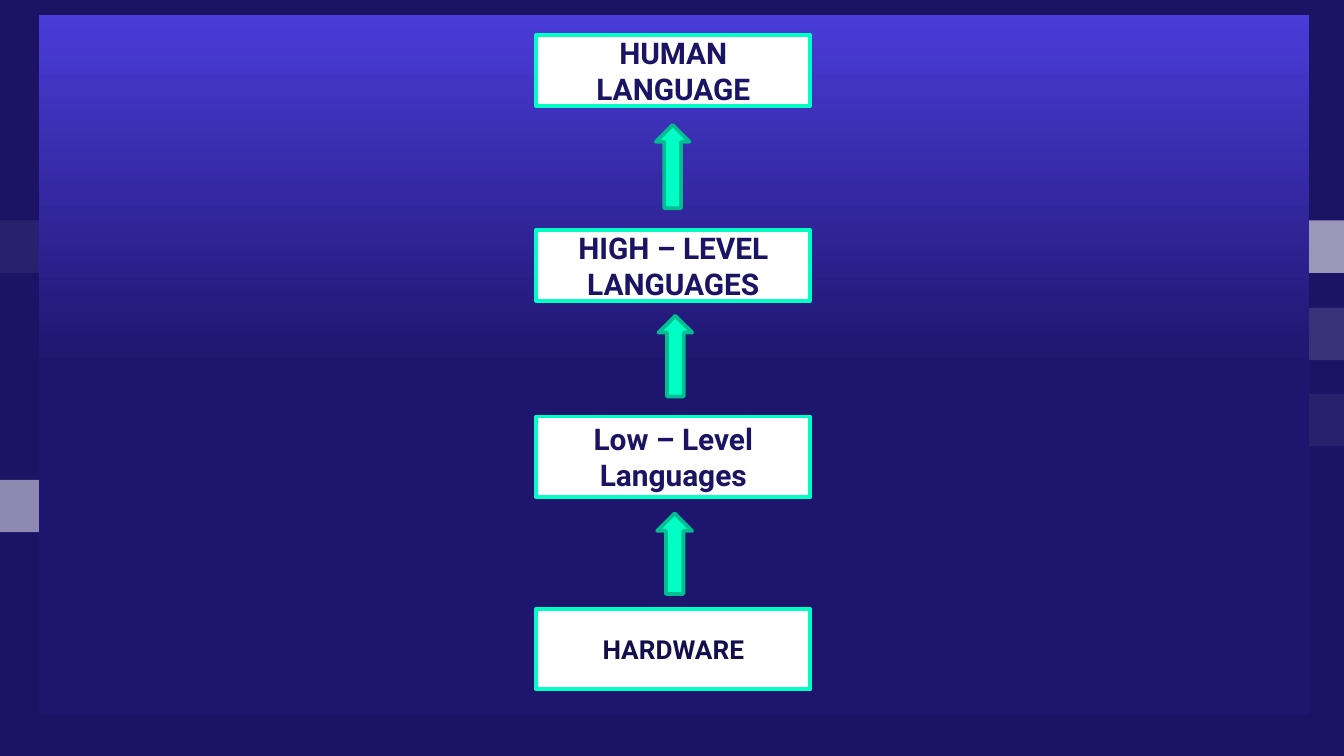
from lxml.etree import SubElement
from pptx import Presentation
from pptx.dml.color import RGBColor
from pptx.enum.shapes import MSO_SHAPE
from pptx.enum.text import MSO_ANCHOR, PP_ALIGN
from pptx.oxml.ns import qn
from pptx.util import Inches, Pt

NAVY = RGBColor(0x1B, 0x14, 0x64)
INK = RGBColor(0x14, 0x0F, 0x4B)
DEEP = RGBColor(0x1E, 0x16, 0x6E)
VIOLET = RGBColor(0x4A, 0x3C, 0xD8)
MINT = RGBColor(0x00, 0xFF, 0xC5)
GREEN = RGBColor(0x00, 0xBD, 0x92)
WHITE = RGBColor(0xFF, 0xFF, 0xFF)

W = 10
H = W * 9 / 16
PANEL = (0.29, 0.11, 9.45, 5.2)
BOX_X, BOX_W = 3.99, 2.04
BAR_H = 0.39

BARS = [
    {"box": (8.07, 2.29, 1.93, BAR_H), "opacity": 13},
    {"box": (7.54, 2.93, 2.46, BAR_H), "opacity": 6},
    {"box": (8.86, 1.64, 1.14, BAR_H), "opacity": 56},
    {"box": (0, 3.57, 1.14, BAR_H), "opacity": 50},
    {"box": (0, 1.64, 1.21, BAR_H), "opacity": 6},
]
LEVELS = [
    ("HARDWARE", 4.53, 0.6, 14, INK),
    ("Low – Level Languages", 3.1, 0.6, 16, NAVY),
    ("HIGH – LEVEL LANGUAGES", 1.71, 0.53, 16, NAVY),
    ("HUMAN LANGUAGE", 0.26, 0.53, 16, NAVY),
]
ARROWS = [(4.89, 3.82, 0.26, 0.6), (4.9, 2.35, 0.25, 0.6), (4.88, 0.93, 0.25, 0.62)]


def add_shape(s, kind, box, fill=None, line=None):
    sp = s.shapes.add_shape(kind, *(Inches(v) for v in box))
    sp.shadow.inherit = False
    if fill is not None:
        sp.fill.solid()
        sp.fill.fore_color.rgb = fill
    if line is None:
        sp.line.fill.background()
    else:
        sp.line.color.rgb = line
        sp.line.width = Pt(2)
    return sp


def add_bar(s, box, opacity):
    sp = add_shape(s, MSO_SHAPE.RECTANGLE, box, WHITE)
    clr = next(sp.element.spPr.iter(qn("a:srgbClr")))
    SubElement(clr, qn("a:alpha")).set("val", str(opacity * 1000))


def add_panel(s):
    sp = add_shape(s, MSO_SHAPE.RECTANGLE, PANEL)
    sp.fill.gradient()
    sp.fill.gradient_angle = 90
    for stop, (pos, color) in zip(sp.fill.gradient_stops, [(0.5, DEEP), (1, VIOLET)]):
        stop.position = pos
        stop.color.rgb = color


def add_level(s, text, y, h, size, color):
    sp = add_shape(s, MSO_SHAPE.RECTANGLE, (BOX_X, y, BOX_W, h), WHITE, MINT)
    tf = sp.text_frame
    tf.word_wrap = True
    tf.vertical_anchor = MSO_ANCHOR.MIDDLE
    p = tf.paragraphs[0]
    p.alignment = PP_ALIGN.CENTER
    r = p.add_run()
    r.text = text
    r.font.name = "Roboto"
    r.font.size = Pt(size)
    r.font.bold = True
    r.font.color.rgb = color


def main():
    """Build the ladder from hardware to human language."""
    prs = Presentation()
    prs.slide_width, prs.slide_height = Inches(W), Inches(H)
    s = prs.slides.add_slide(prs.slide_layouts[6])
    s.background.fill.solid()
    s.background.fill.fore_color.rgb = NAVY
    for bar in BARS:
        add_bar(s, **bar)
    add_panel(s)
    for level in LEVELS:
        add_level(s, *level)
    for box in ARROWS:
        add_shape(s, MSO_SHAPE.UP_ARROW, box, MINT, GREEN)
    prs.save("out.pptx")


if __name__ == "__main__":
    main()
